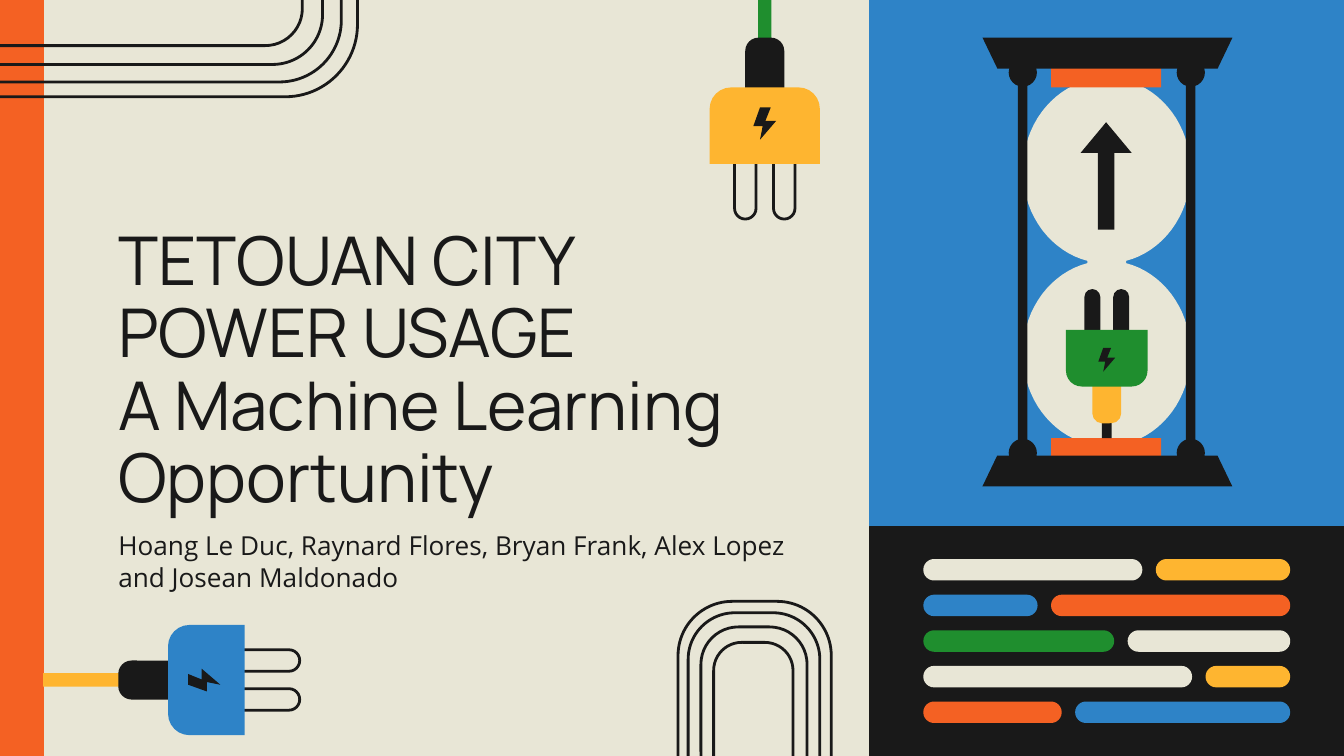
import math

from pptx import Presentation
from pptx.dml.color import RGBColor
from pptx.enum import shapes, text
from pptx.util import Inches, Pt

# Content
TITLE = ["TETOUAN CITY POWER USAGE", "A Machine Learning Opportunity"]
AUTHORS = ["Hoang Le Duc, Raynard Flores, Bryan Frank, Alex Lopez and Josean Maldonado"]

CREAM, BLACK, BLUE = "E8E6D6", "191919", "2E83C7"
ORANGE, YELLOW, GREEN = "F46123", "FEB530", "1F8E2E"

WIDTH = 10
HEIGHT = WIDTH * 9 / 16
PANELS = [  # left, top, width, height, colour
    (0, 0, 0.32, HEIGHT, ORANGE),
    (6.47, -0.02, 3.53, 3.94, BLUE),
    (6.47, 3.92, 3.53, HEIGHT - 3.92, BLACK),
]
TOP_LOOPS = [
    (-2.55, -0.8, 5.21, 1.52), (-2.44, -0.69, 4.98, 1.3),
    (-2.29, -0.57, 4.69, 1.05), (-2.15, -0.44, 4.4, 0.78),
]
BOTTOM_LOOPS = [
    (3.65, 5.87, 3.93, 1.14), (3.73, 5.95, 3.76, 0.98),
    (3.84, 6.04, 3.54, 0.79), (3.95, 6.14, 3.31, 0.59),
]
BAR_ROWS = [  # width of the first bar, colours of both bars
    (1.63, CREAM, YELLOW),
    (0.85, BLUE, ORANGE),
    (1.42, GREEN, CREAM),
    (2.0, CREAM, YELLOW),
    (1.03, ORANGE, BLUE),
]
BOLT = [(0.05, 0), (0, 0.14), (0.07, 0.14), (0.05, 0.24), (0.17, 0.1), (0.09, 0.1), (0.13, 0)]

KIND = shapes.MSO_SHAPE
DIRECTIONS = {0: (0, -1), 90: (1, 0), 180: (0, 1)}

presentation = Presentation()
presentation.slide_width, presentation.slide_height = Inches(WIDTH), Inches(HEIGHT)
slide = presentation.slides.add_slide(presentation.slide_layouts[0])


def colour(hex_value):
    return RGBColor.from_string(hex_value)


def paint(shape, fill=None, line=None, line_width=1.5):
    shape.shadow.inherit = False
    if fill:
        shape.fill.solid()
        shape.fill.fore_color.rgb = colour(fill)
    else:
        shape.fill.background()
    if line:
        shape.line.color.rgb = colour(line)
        shape.line.width = Pt(line_width)
    else:
        shape.line.fill.background()


def add_shape(kind, left, top, width, height, fill=None, line=None,
              line_width=1.5, adjust=(), rotation=0):
    shape = slide.shapes.add_shape(
        kind, Inches(left), Inches(top), Inches(width), Inches(height))
    for index, value in enumerate(adjust):
        shape.adjustments[index] = value
    shape.rotation = rotation
    paint(shape, fill, line, line_width)


def add_outline(points, fill, rotation=0):
    corners = [(Inches(x), Inches(y)) for x, y in points]
    builder = slide.shapes.build_freeform(*corners[0])
    builder.add_line_segments(corners[1:], close=True)
    shape = builder.convert_to_shape()
    shape.rotation = rotation
    paint(shape, fill)


def add_plug(x, y, rotation, lead, cord_length, cord, grip, body,
             scale=1, prong_fill=None, prong_line=None, bolt_rotation=0):
    """Draw a plug whose grip starts at (x, y); the cord starts `lead` before it."""
    step_x, step_y = DIRECTIONS[rotation]

    def part(kind, start, length, width, side=0, **style):
        middle = start + length / 2
        centre_x = x + step_x * middle - step_y * side
        centre_y = y + step_y * middle + step_x * side
        add_shape(kind, centre_x - width / 2, centre_y - length / 2, width, length,
                  rotation=rotation, **style)

    part(KIND.RECTANGLE, -lead, cord_length, 0.1 * scale, fill=cord)
    part(KIND.ROUNDED_RECTANGLE, 0, 0.65 * scale, 0.29 * scale, fill=grip, adjust=(0.34,))
    for side in (-0.145, 0.145):
        part(KIND.ROUNDED_RECTANGLE, 0.6 * scale, 0.75 * scale, 0.16 * scale, side * scale,
             fill=prong_fill, line=prong_line, adjust=(0.5,))
    part(KIND.ROUND_2_SAME_RECTANGLE, 0.37 * scale, 0.57 * scale, 0.82 * scale,
         fill=body, adjust=(0, 0.28))
    bolt_x, bolt_y = x + step_x * 0.64 * scale, y + step_y * 0.64 * scale
    add_outline([(bolt_x + (px - 0.085) * scale, bolt_y + (py - 0.12) * scale)
                 for px, py in BOLT], BLACK, bolt_rotation)


def fill_placeholder(placeholder, box, lines, font, size, spacing, anchor):
    placeholder.left, placeholder.top, placeholder.width, placeholder.height = map(Inches, box)
    frame = placeholder.text_frame
    frame.text = "\n".join(lines)
    frame.word_wrap = True
    frame.auto_size = text.MSO_AUTO_SIZE.NONE
    frame.vertical_anchor = anchor
    frame.margin_left = frame.margin_right = Inches(0.1)
    frame.margin_top = frame.margin_bottom = Inches(0.1)
    for paragraph in frame.paragraphs:
        paragraph.alignment = text.PP_ALIGN.LEFT
        paragraph.line_spacing = spacing
        paragraph.space_before = Pt(0)
        for run in paragraph.runs:
            run.font.name, run.font.size = font, Pt(size)
            run.font.color.rgb = colour(BLACK)


# Background, panels and loops
slide.background.fill.solid()
slide.background.fill.fore_color.rgb = colour(CREAM)
for *box, fill in PANELS:
    add_shape(KIND.RECTANGLE, *box, fill=fill, line=fill, line_width=0.75)
for loops, rotation in ((TOP_LOOPS, 0), (BOTTOM_LOOPS, 90)):
    for box in loops:
        add_shape(KIND.ROUNDED_RECTANGLE, *box, line=BLACK, adjust=(0.354,), rotation=rotation)

# Title and authors
fill_placeholder(slide.shapes.title, (0.78, 1.57, 5.21, 2.38), TITLE,
                 "Manrope", 36, 0.9, text.MSO_ANCHOR.BOTTOM)
fill_placeholder(slide.placeholders[1], (0.78, 3.84, 5.21, 0.58), AUTHORS,
                 "Open Sans", 14, 1.0, text.MSO_ANCHOR.TOP)

# Hourglass: two bulbs joined by a neck, then the frame
CENTRE, RADIUS_X, RADIUS_Y = 8.235, 0.625, 0.69
angles = [math.radians(13.4 + step * 333.2 / 72) for step in range(73)]
glass = [(CENTRE + sign * RADIUS_X * math.sin(angle),
          bulb_y + sign * RADIUS_Y * math.cos(angle))
         for bulb_y, sign in ((1.27, 1), (2.63, -1)) for angle in angles]
add_outline(glass, CREAM)
for post_x in (CENTRE - RADIUS_X, CENTRE + RADIUS_X):
    for knob_y in (0.54, 3.37):
        add_shape(KIND.OVAL, post_x - 0.105, knob_y - 0.105, 0.21, 0.21, fill=BLACK)
    add_shape(KIND.RECTANGLE, post_x - 0.035, 0.54, 0.07, 2.83, fill=BLACK)
for stop_y, cap_y, rotation in ((0.46, 0.28, 180), (3.26, 3.39, 0)):
    add_shape(KIND.RECTANGLE, 7.82, stop_y, 0.82, 0.19, fill=ORANGE)
    add_shape(KIND.TRAPEZOID, 7.31, cap_y, 1.86, 0.23, fill=BLACK,
              adjust=(0.48,), rotation=rotation)
add_shape(KIND.UP_ARROW, 8.04, 0.91, 0.38, 0.8, fill=BLACK, adjust=(0.32, 0.6))

# Plugs
add_plug(CENTRE, 3.15, 0, 0.11, 0.27, BLACK, YELLOW, GREEN, scale=0.74, prong_fill=BLACK)
add_plug(0.88, 5.06, 90, 0.56, 0.85, YELLOW, BLACK, BLUE, prong_line=BLACK, bolt_rotation=270)
add_plug(5.69, 0.28, 180, 0.3, 0.6, GREEN, BLACK, YELLOW, prong_line=BLACK)

# Rows of rounded bars
LEFT, RIGHT, GAP = 6.87, 9.6, 0.1
FIRST_TOP, LAST_TOP = 4.16, 5.22
pitch = (LAST_TOP - FIRST_TOP) / (len(BAR_ROWS) - 1)
for row, (width, first, second) in enumerate(BAR_ROWS):
    top = FIRST_TOP + row * pitch
    start = LEFT + width + GAP
    for left, length, fill in ((LEFT, width, first), (start, RIGHT - start, second)):
        add_shape(KIND.ROUNDED_RECTANGLE, left, top, length, 0.16, fill=fill, adjust=(0.5,))

presentation.save("out.pptx")
